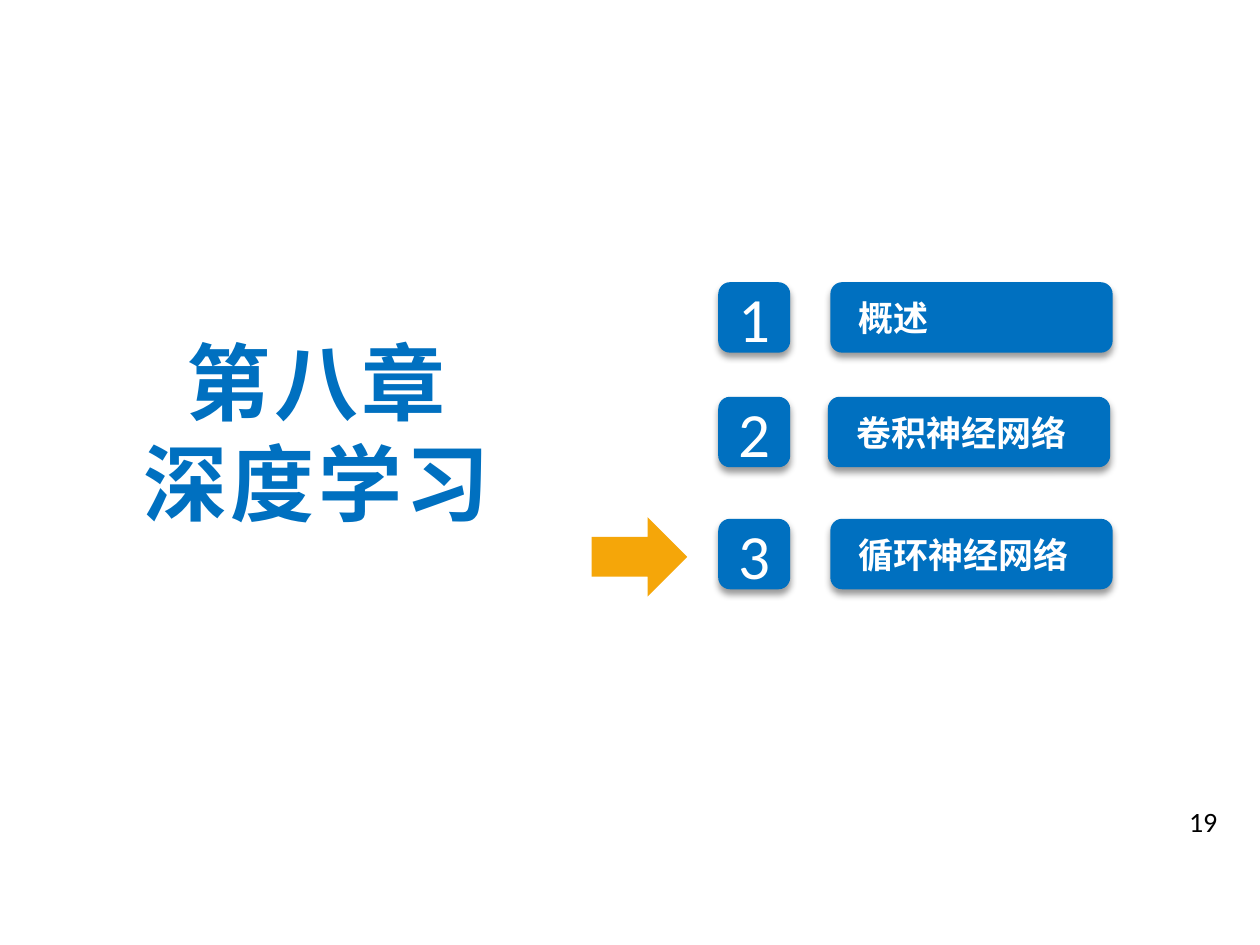
from lxml.etree import SubElement
from pptx import Presentation
from pptx.dml.color import RGBColor
from pptx.enum.shapes import MSO_SHAPE
from pptx.enum.text import MSO_ANCHOR, PP_ALIGN
from pptx.oxml import parse_xml
from pptx.oxml.ns import nsdecls, qn
from pptx.util import Cm, Pt

BLUE = RGBColor(0x00, 0x70, 0xC0)
ORANGE = RGBColor(0xF5, 0xA6, 0x09)
WHITE = RGBColor(0xFF, 0xFF, 0xFF)
BLACK = RGBColor(0x00, 0x00, 0x00)
LATIN, CHINESE = "Calibri", "Noto Sans CJK SC"

# Content
TITLE = ["第八章", "深度学习"]
SECTIONS = [  # label, top, left of the label bar (cm)
    ("概述", 5.69, 16.74),
    ("卷积神经网络", 8.0, 16.69),
    ("循环神经网络", 10.46, 16.74),
]
PAGE_NUMBER = "19"

# Layout (cm)
NUMBER_LEFT, NUMBER_WIDTH = 14.48, 1.45
BAR_WIDTH, ROW_HEIGHT = 5.69, 1.42
LABEL_INDENT, LABEL_WIDTH, LABEL_HEIGHT = 0.24, 5.31, 1.19
MARGINS = (0.33, 0.18)

SHADOW = (
    f'<a:effectLst {nsdecls("a")}><a:outerShdw blurRad="50800" dist="38100" '
    'dir="5400000" rotWithShape="0"><a:srgbClr val="000000">'
    '<a:alpha val="40000"/></a:srgbClr></a:outerShdw></a:effectLst>'
)


def add_block(shapes, kind, left, top, width, height, color):
    shape = shapes.add_shape(kind, Cm(left), Cm(top), Cm(width), Cm(height))
    shape.shadow.inherit = False
    shape.fill.solid()
    shape.fill.fore_color.rgb = color
    shape.line.fill.background()
    return shape


def add_rounded_box(shapes, left, top, width):
    shape = add_block(shapes, MSO_SHAPE.ROUNDED_RECTANGLE,
                      left, top, width, ROW_HEIGHT, BLUE)
    properties = shape._element.spPr
    properties.replace(properties.find(qn("a:effectLst")), parse_xml(SHADOW))
    return shape


def write(shape, lines, size, color, font=LATIN, bold=False, align=PP_ALIGN.LEFT,
          anchor=MSO_ANCHOR.MIDDLE, margins=MARGINS, spacing=None, tracking=None):
    frame = shape.text_frame
    frame.word_wrap = True
    frame.vertical_anchor = anchor
    frame.margin_left = frame.margin_right = Cm(margins[0])
    frame.margin_top = frame.margin_bottom = Cm(margins[1])
    for index, line in enumerate(lines):
        paragraph = frame.add_paragraph() if index else frame.paragraphs[0]
        paragraph.alignment = align
        if spacing:
            paragraph.line_spacing = Pt(spacing)
        run = paragraph.add_run()
        run.text = line
        run.font.size = Pt(size)
        run.font.bold = bold
        run.font.color.rgb = color
        run.font.name = font
        properties = run._r.get_or_add_rPr()
        SubElement(properties, qn("a:ea")).set("typeface", font)
        if tracking:
            properties.set("spc", str(tracking * 100))


def add_text(shapes, left, top, width, height, lines, size, color, **style):
    box = shapes.add_textbox(Cm(left), Cm(top), Cm(width), Cm(height))
    write(box, lines, size, color, **style)


def main():
    presentation = Presentation()
    presentation.slide_width, presentation.slide_height = Cm(25.4), Cm(19.05)
    slide = presentation.slides.add_slide(presentation.slide_layouts[6])
    shapes = slide.shapes

    # Numbered sections
    for number, (label, top, bar_left) in enumerate(SECTIONS, start=1):
        box = add_rounded_box(shapes, NUMBER_LEFT, top, NUMBER_WIDTH)
        write(box, [str(number)], 36, WHITE, align=PP_ALIGN.CENTER)
        group = shapes.add_group_shape()
        add_rounded_box(group.shapes, bar_left, top, BAR_WIDTH)
        add_text(group.shapes, bar_left + LABEL_INDENT,
                 top + (ROW_HEIGHT - LABEL_HEIGHT) / 2, LABEL_WIDTH, LABEL_HEIGHT,
                 [label], 20, WHITE, font=CHINESE, bold=True)

    # Chapter title
    add_text(shapes, 1.35, 6.48, 10.06, 4.45, TITLE, 48, BLUE, font=CHINESE,
             bold=True, align=PP_ALIGN.CENTER, anchor=MSO_ANCHOR.TOP,
             spacing=57.6, tracking=2)

    # Arrow at the current section
    arrow = add_block(shapes, MSO_SHAPE.DOWN_ARROW, 12.09, 10.26, 1.6, 1.93, ORANGE)
    arrow.rotation = 270

    # Page number
    add_text(shapes, 18.87, 16.08, 5.92, 0.76, [PAGE_NUMBER], 16, BLACK,
             align=PP_ALIGN.RIGHT, anchor=MSO_ANCHOR.TOP, margins=(0.25, 0.13))

    presentation.save("out.pptx")


if __name__ == "__main__":
    main()
